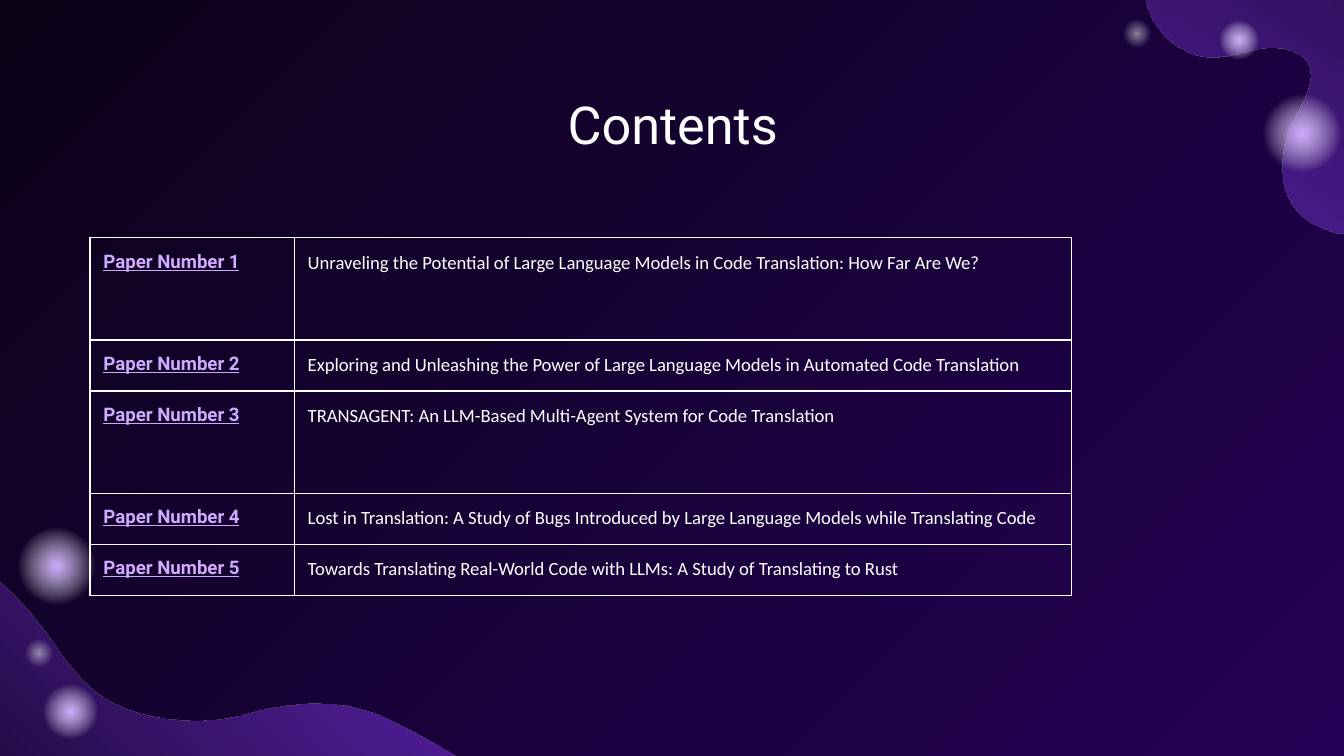
import math
from lxml import etree
from pptx import Presentation
from pptx import util as u
from pptx.dml.color import RGBColor
from pptx.enum import shapes, text
from pptx.oxml import parse_xml
from pptx.oxml.ns import nsdecls, qn

NIGHT = RGBColor(0x0B, 0x02, 0x18)
INDIGO = RGBColor(0x24, 0x01, 0x55)
VIOLET = RGBColor(0x81, 0x34, 0xEC)
LILAC = RGBColor(0xCE, 0xAB, 0xFF)
WHITE = RGBColor(0xFF, 0xFF, 0xFF)


def set_gradient(parent, stops, angle=None):
    """Swap the solid fill in parent for a linear gradient, or a radial one without angle.

    Stops are (position %, colour, opacity %)."""
    gs = "".join(
        f'<a:gs pos="{pos * 1000}"><a:srgbClr val="{color}">'
        f'<a:alpha val="{alpha * 1000}"/></a:srgbClr></a:gs>'
        for pos, color, alpha in stops)
    if angle is None:
        way = ('<a:path path="circle"><a:fillToRect l="50000" t="50000" '
               'r="50000" b="50000"/></a:path>')
    else:
        way = f'<a:lin ang="{angle * 60000}" scaled="0"/>'
    grad = parse_xml(f'<a:gradFill {nsdecls("a")} rotWithShape="1">'
                     f'<a:gsLst>{gs}</a:gsLst>{way}</a:gradFill>')
    parent.replace(parent.find(qn("a:solidFill")), grad)


def flatten(start, segments, steps=10):
    """Turn lines (x, y) and Bezier curves (x1, y1, x2, y2, x, y) into points."""
    pts = [start]
    for seg in segments:
        if len(seg) == 2:
            pts.append(seg)
            continue
        ctrl = [pts[-1], seg[:2], seg[2:4], seg[4:]]
        for i in range(1, steps + 1):
            t = i / steps
            weights = [math.comb(3, k) * t ** k * (1 - t) ** (3 - k) for k in range(4)]
            pts.append(tuple(sum(w * c[axis] for w, c in zip(weights, ctrl))
                             for axis in (0, 1)))
    return pts


prs = Presentation()
prs.slide_width = u.Inches(10)
prs.slide_height = u.Inches(10 * 9 / 16)
s = prs.slides.add_slide(prs.slide_layouts[6])
s.background.fill.solid()
set_gradient(s.element.xpath(".//p:bgPr")[0],
             [(0, NIGHT, 100), (100, INDIGO, 100)], 45)

# Corner waves
top_wave = [
    (8.35, -0.84, 8.42, -0.76, 8.45, -0.68), (8.5, -0.56, 8.5, -0.43, 8.5, -0.29),
    (8.5, -0.2, 8.5, -0.11, 8.52, -0.02), (8.57, 0.21, 8.72, 0.37, 8.94, 0.42),
    (9.17, 0.47, 9.39, 0.29, 9.62, 0.38), (9.88, 0.48, 9.69, 0.76, 9.61, 0.92),
    (9.52, 1.11, 9.5, 1.4, 9.65, 1.57), (9.72, 1.65, 9.84, 1.7, 9.94, 1.73),
    (10.06, 1.75, 10.18, 1.72, 10.3, 1.74), (10.4, 1.75, 10.54, 1.8, 10.61, 1.89),
    (10.68, 1.99, 10.71, 2.11, 10.75, 2.22), (10.91, 2.66, 11.3, 3.05, 11.78, 3.14),
    (11.84, 3.15, 11.93, 3.16, 11.99, 3.14), (10.93, -1.81), (7.92, -1.09),
    (8.04, -1.08, 8.2, -0.97, 8.28, -0.9)]
bottom_wave = [
    (-0.01, 4.28, 0.15, 4.46, 0.33, 4.69), (0.48, 4.89, 0.6, 5.11, 0.85, 5.23),
    (1.11, 5.36, 1.5, 5.39, 1.79, 5.32), (2.1, 5.23, 2.47, 5.18, 2.78, 5.3),
    (3.09, 5.43, 3.39, 5.62, 3.67, 5.79), (3.85, 5.91, 4.03, 6.03, 4.2, 6.17),
    (-1.29, 6.17), (-1.3, 3.93), (-1.24, 3.91, -1.17, 3.9, -1.1, 3.9),
    (-0.82, 3.9, -0.51, 4.02, -0.29, 4.13)]
for left, top, rotation, angle, start, segments in [
        (7.42, -0.56, 257.9, 225, (8.28, -0.9), top_wave),
        (-1.3, 3.9, 0, 315, (-0.29, 4.13), bottom_wave)]:
    # The outline is turned back first, so that the rotation restores it
    cos, sin = math.cos(math.radians(-rotation)), math.sin(math.radians(-rotation))
    pts = [(u.Inches(x * cos - y * sin), u.Inches(x * sin + y * cos))
           for x, y in flatten(start, segments)]
    fb = s.shapes.build_freeform(*pts[0])
    fb.add_line_segments(pts[1:], close=True)
    sp = fb.convert_to_shape()
    sp.left, sp.top = u.Inches(left), u.Inches(top)
    sp.rotation = rotation
    sp.shadow.inherit = False
    sp.line.fill.background()
    sp.fill.solid()
    set_gradient(sp.element.spPr, [(0, NIGHT, 100), (100, VIOLET, 70)], angle)

# Glowing dots: left, top, diameter, colour, opacity
for left, top, size, color, alpha in [
        (0.06, 3.85, 0.72, LILAC, 100), (0.27, 5.04, 0.51, LILAC, 100),
        (0.16, 4.73, 0.26, WHITE, 50), (9.04, 0.12, 0.36, LILAC, 100),
        (9.33, 0.63, 0.72, LILAC, 100), (8.33, 0.12, 0.26, WHITE, 50)]:
    sp = s.shapes.add_shape(shapes.MSO_SHAPE.OVAL, u.Inches(left), u.Inches(top),
                            u.Inches(size), u.Inches(size))
    sp.shadow.inherit = False
    sp.line.fill.background()
    sp.fill.solid()
    set_gradient(sp.element.spPr, [(0, color, alpha), (57, WHITE, 0), (100, WHITE, 0)])

# Title
sp = s.shapes.add_textbox(u.Inches(0.79), u.Inches(0.59), u.Inches(8.43), u.Inches(0.63))
tf = sp.text_frame
tf.word_wrap = True
tf.margin_left = tf.margin_right = tf.margin_top = tf.margin_bottom = u.Inches(0.1)
p = tf.paragraphs[0]
p.text = "Contents"
p.alignment = text.PP_ALIGN.CENTER
p.font.name, p.font.size, p.font.color.rgb = "Roboto", u.Pt(28), WHITE

# Table of papers
papers = [
    "Unraveling the Potential of Large Language Models in Code Translation: How Far Are We?",
    "Exploring and Unleashing the Power of Large Language Models in Automated Code Translation",
    "TRANSAGENT: An LLM-Based Multi-Agent System for Code Translation",
    "Lost in Translation: A Study of Bugs Introduced by Large Language Models while Translating Code",
    "Towards Translating Real-World Code with LLMs: A Study of Translating to Rust"]
row_heights = [0.76, 0.38, 0.76, 0.38, 0.38]
gf = s.shapes.add_table(len(papers), 2, u.Inches(0.67), u.Inches(1.77),
                        u.Inches(7.3), u.Inches(sum(row_heights)))
table = gf.table
table.first_row = table.horz_banding = False
table.columns[0].width, table.columns[1].width = u.Inches(1.52), u.Inches(5.78)
for i, (title, height) in enumerate(zip(papers, row_heights)):
    table.rows[i].height = u.Inches(height)
    for j, (words, font, color) in enumerate([(f"Paper Number {i + 1}", "Roboto", LILAC),
                                              (title, "Calibri", WHITE)]):
        cell = table.cell(i, j)
        cell.margin_left = cell.margin_right = u.Inches(0.1)
        cell.margin_top = cell.margin_bottom = u.Inches(0.1)
        cell.fill.background()
        p = cell.text_frame.paragraphs[0]
        p.text = words
        p.font.name, p.font.size, p.font.color.rgb = font, u.Pt(10), color
        p.font.bold = p.font.underline = j == 0
        tcPr = cell._tc.get_or_add_tcPr()
        for k, side in enumerate(("lnL", "lnR", "lnT", "lnB")):
            ln = etree.Element(qn(f"a:{side}"), w=str(u.Pt(0.75)))
            fill = etree.SubElement(ln, qn("a:solidFill"))
            etree.SubElement(fill, qn("a:srgbClr"), val=str(WHITE))
            tcPr.insert(k, ln)

prs.save("out.pptx")
